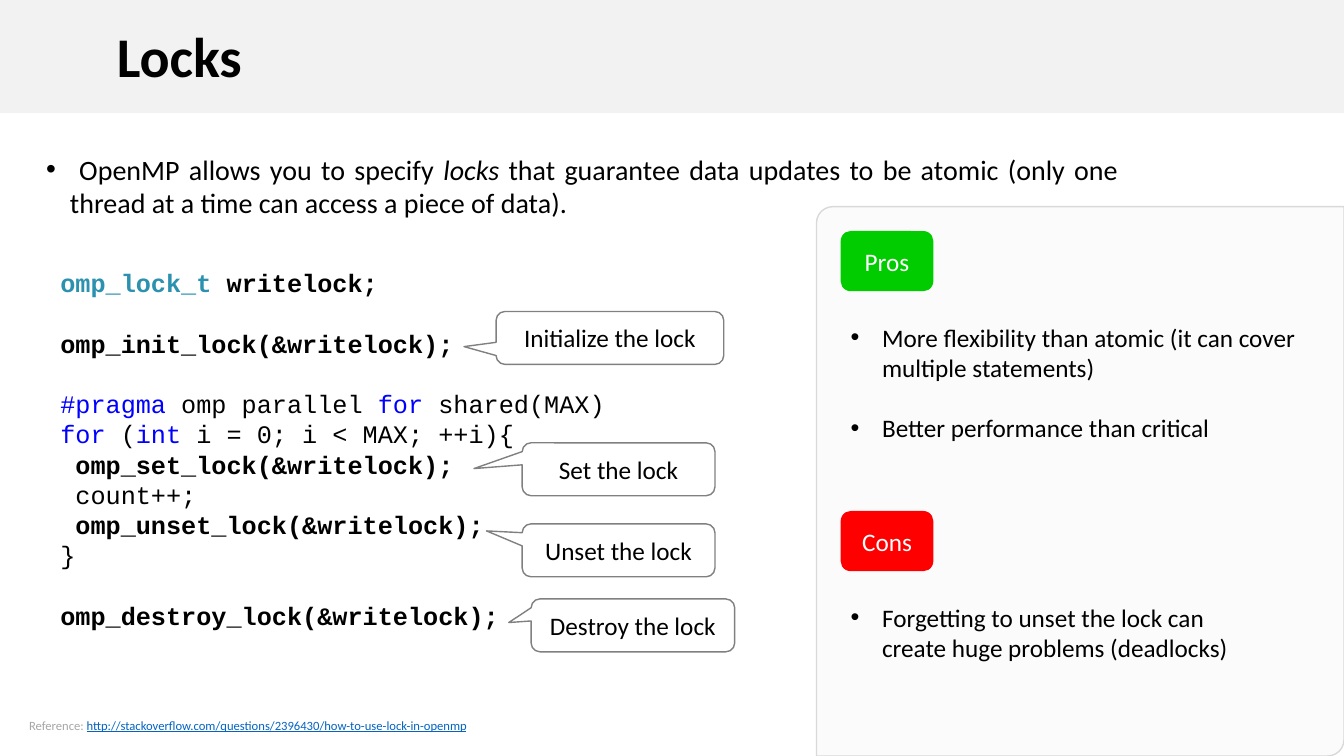
from lxml import etree
from pptx import Presentation
from pptx.dml.color import RGBColor
from pptx.enum.shapes import MSO_SHAPE
from pptx.enum.text import MSO_ANCHOR, MSO_AUTO_SIZE, PP_ALIGN
from pptx.oxml.ns import qn
from pptx.util import Pt

LEFT, CENTER, JUSTIFY = PP_ALIGN.LEFT, PP_ALIGN.CENTER, PP_ALIGN.JUSTIFY
TOP, MIDDLE, BOTTOM = MSO_ANCHOR.TOP, MSO_ANCHOR.MIDDLE, MSO_ANCHOR.BOTTOM
RECTANGLE = MSO_SHAPE.RECTANGLE
ROUNDED = MSO_SHAPE.ROUNDED_RECTANGLE
CALLOUT = MSO_SHAPE.ROUNDED_RECTANGULAR_CALLOUT
DIAGONAL = MSO_SHAPE.ROUND_2_DIAG_RECTANGLE

BLACK = RGBColor(0x00, 0x00, 0x00)
WHITE = RGBColor(0xFF, 0xFF, 0xFF)
BAND_GREY = RGBColor(0xF2, 0xF2, 0xF2)
PANEL_GREY = RGBColor(0xFB, 0xFB, 0xFB)
PANEL_EDGE = RGBColor(0xD9, 0xD9, 0xD9)
CALLOUT_EDGE = RGBColor(0x80, 0x80, 0x80)
PALE_TEXT = RGBColor(0xA6, 0xA6, 0xA6)
LINK_BLUE = RGBColor(0x05, 0x63, 0xC1)
KEYWORD_BLUE = RGBColor(0x00, 0x00, 0xFF)
TYPE_TEAL = RGBColor(0x2B, 0x91, 0xAF)
GREEN = RGBColor(0x00, 0xCC, 0x00)
RED = RGBColor(0xFF, 0x00, 0x00)

# Content: a paragraph is a list of (text, style) spans
PLAIN = {}
BOLD = {"bold": True}
KEYWORD = {"color": KEYWORD_BLUE}

TITLE = [[("Locks", BOLD)]]
INTRO = [[
    (" OpenMP allows you to specify ", PLAIN),
    ("locks", {"italic": True}),
    (" that guarantee data updates to be atomic (only one thread at a time "
     "can access a piece of data).", PLAIN),
]]
REFERENCE = [[
    ("Reference: ", {"color": PALE_TEXT}),
    ("http://stackoverflow.com/questions/2396430/how-to-use-lock-in-openmp",
     {"color": LINK_BLUE, "underline": True}),
]]
CODE = [
    [("omp_lock_t", {"bold": True, "color": TYPE_TEAL}), (" writelock;", BOLD)],
    [("omp_init_lock(&writelock);", BOLD)],
    [("#pragma", KEYWORD), (" omp parallel ", PLAIN), ("for ", KEYWORD),
     ("shared(MAX)", PLAIN)],
    [("for", KEYWORD), (" (", PLAIN), ("int", KEYWORD),
     (" i = 0; i < MAX; ++i){", PLAIN)],
    [(" omp_set_lock(&writelock);", BOLD)],
    [(" count++;", PLAIN)],
    [(" omp_unset_lock(&writelock);", BOLD)],
    [("}", PLAIN)],
    [("omp_destroy_lock(&writelock);", BOLD)],
]
CODE_GAPS = (1, 2, 8)  # code lines that follow a gap

# text, left, top, width, pointer x, pointer y
CALLOUTS = [
    ("Initialize the lock", 354.4, 222.5, 162.6, -0.641, 0.164),
    ("Set the lock", 373, 316.3, 137.7, -0.75, -0.013),
    ("Unset the lock", 373, 374.2, 137.7, -0.685, -0.367),
    ("Destroy the lock", 379.4, 427.8, 145.4, -0.61, -0.053),
]
# label, colour, top, list width, points
VERDICTS = [
    ("Pros", GREEN, 165, 351,
     ["More flexibility than atomic (it can cover multiple statements)",
      "Better performance than critical"]),
    ("Cons", RED, 365, 311,
     ["Forgetting to unset the lock can create huge problems (deadlocks)"]),
]

# Measures in points
WIDTH, HEIGHT = 960, 540
CALLOUT_HEIGHT = 37.8
PANEL_LEFT, PANEL_TOP = 583.2, 147.6
TAG_LEFT, TAG_WIDTH, TAG_HEIGHT = 600.5, 66.2, 43
LIST_DROP = 61.5
CODE_LINE = 21.6
LIST_GAP = 21.6


def put_text(shape, paragraphs, size=18, font="Calibri", color=BLACK,
             align=LEFT, anchor=TOP, wrap=True, spacing=None, bullet_indent=0,
             gaps=(), gap=0):
    frame = shape.text_frame
    frame.auto_size = MSO_AUTO_SIZE.NONE
    frame.word_wrap = wrap
    frame.vertical_anchor = anchor
    for index, spans in enumerate(paragraphs):
        para = frame.paragraphs[0] if index == 0 else frame.add_paragraph()
        para.alignment = align
        if spacing:
            para.line_spacing = spacing
        if index in gaps:
            para.space_before = Pt(gap)
        if bullet_indent:
            props = para._p.get_or_add_pPr()
            props.set("marL", str(Pt(bullet_indent)))
            props.set("indent", str(-Pt(bullet_indent)))
            etree.SubElement(props, qn("a:buFont")).set("typeface", "Arial")
            etree.SubElement(props, qn("a:buChar")).set("char", "•")
        for text, style in spans:
            span = para.add_run()
            span.text = text
            span.font.name = font
            span.font.size = Pt(size)
            span.font.color.rgb = style.get("color", color)
            span.font.bold = style.get("bold", False)
            span.font.italic = style.get("italic", False)
            span.font.underline = style.get("underline", False)


def add_box(page, left, top, width, height, paragraphs, **text_format):
    box = page.shapes.add_textbox(Pt(left), Pt(top), Pt(width), Pt(height))
    put_text(box, paragraphs, **text_format)


def add_block(page, kind, left, top, width, height, fill, edge=None,
              adjustments=()):
    block = page.shapes.add_shape(kind, Pt(left), Pt(top), Pt(width), Pt(height))
    block.shadow.inherit = False
    block.fill.solid()
    block.fill.fore_color.rgb = fill
    if edge is None:
        block.line.fill.background()
    else:
        block.line.color.rgb = edge
        block.line.width = Pt(1)
    for index, value in enumerate(adjustments):
        block.adjustments[index] = value
    return block


def main():
    deck = Presentation()
    deck.slide_width, deck.slide_height = Pt(WIDTH), Pt(HEIGHT)
    page = deck.slides.add_slide(deck.slide_layouts[5])

    # Side panel and title band
    add_block(page, DIAGONAL, PANEL_LEFT, PANEL_TOP, WIDTH - PANEL_LEFT,
              HEIGHT - PANEL_TOP, PANEL_GREY, PANEL_EDGE, (0.031, 0))
    band = add_block(page, RECTANGLE, 0, 0, WIDTH, 80.6, BAND_GREY)

    # Title, raised in front of its band
    title = page.shapes.title
    title.left, title.top = Pt(76.3), Pt(-5)
    title.width, title.height = Pt(718.6), Pt(72.7)
    put_text(title, TITLE, size=40, anchor=BOTTOM, spacing=0.9)
    band.element.addnext(title.element)

    # Reference, code and introduction
    add_box(page, 13.7, 509, 333.4, 18, REFERENCE, size=9, wrap=False)
    add_box(page, 36, 187.5, 547.2, 269.3, CODE, font="Courier New",
            spacing=Pt(CODE_LINE), gaps=CODE_GAPS, gap=CODE_LINE)
    add_box(page, 25.9, 105.1, 779.8, 55.4, INTRO, size=20, align=JUSTIFY,
            bullet_indent=17)

    # Callouts beside the code
    for text, left, top, width, point_x, point_y in CALLOUTS:
        callout = add_block(page, CALLOUT, left, top, width, CALLOUT_HEIGHT,
                            WHITE, CALLOUT_EDGE, (point_x, point_y, 0.167))
        put_text(callout, [[(text, PLAIN)]], align=CENTER, anchor=MIDDLE)

    # Pros and cons
    for label, color, top, width, points in VERDICTS:
        tag = add_block(page, ROUNDED, TAG_LEFT, top, TAG_WIDTH, TAG_HEIGHT, color)
        put_text(tag, [[(label, PLAIN)]], color=WHITE, align=CENTER, anchor=MIDDLE)
        lines = [[(point, PLAIN)] for point in points]
        add_box(page, TAG_LEFT, top + LIST_DROP, width, 51, lines,
                bullet_indent=22.5, gaps=range(1, len(lines)), gap=LIST_GAP)

    deck.save("out.pptx")


if __name__ == "__main__":
    main()
